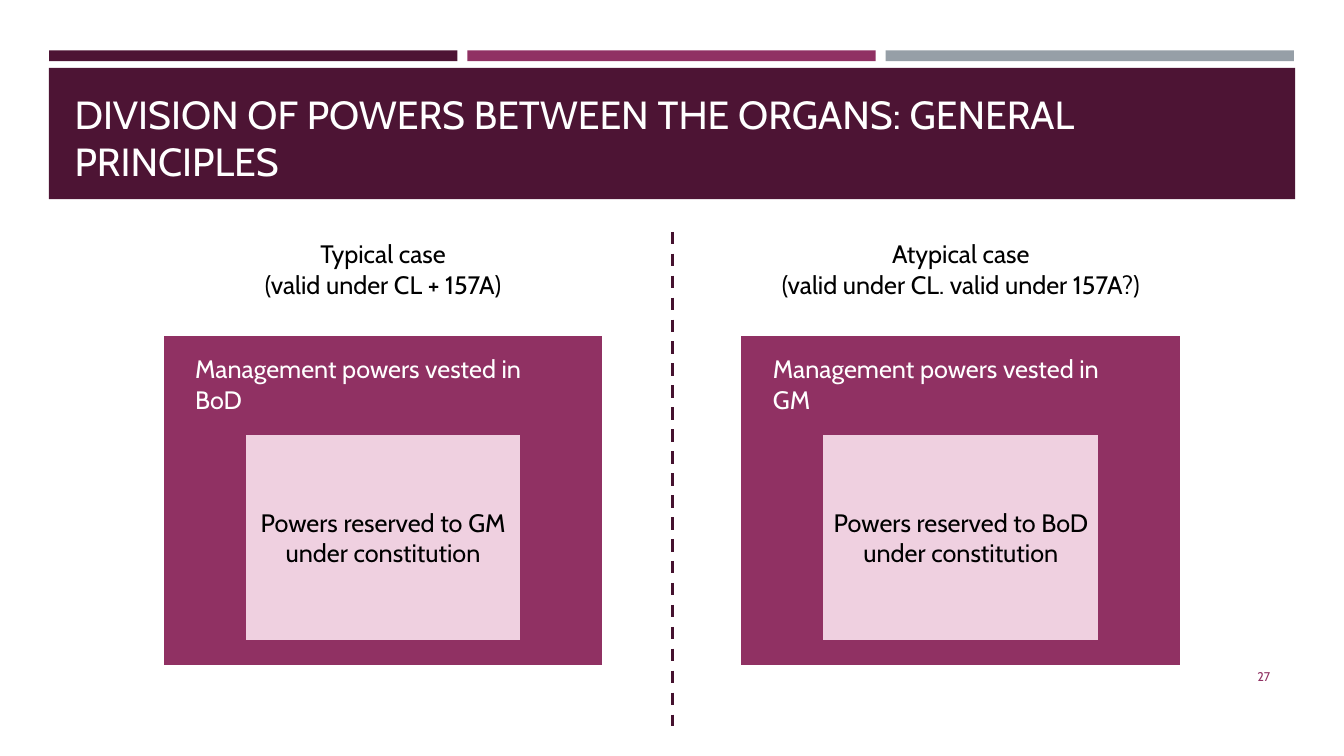
from dataclasses import dataclass

from lxml import etree
from pptx import Presentation
from pptx.dml.color import RGBColor
from pptx.enum.dml import MSO_LINE
from pptx.enum.shapes import MSO_CONNECTOR, MSO_SHAPE
from pptx.enum.text import MSO_ANCHOR, PP_ALIGN
from pptx.oxml.ns import qn
from pptx.shapes.base import BaseShape
from pptx.slide import Slide
from pptx.util import Cm, Pt

RECTANGLE = MSO_SHAPE.RECTANGLE
STRAIGHT = MSO_CONNECTOR.STRAIGHT
DASH = MSO_LINE.DASH
TOP, MIDDLE, BOTTOM = MSO_ANCHOR.TOP, MSO_ANCHOR.MIDDLE, MSO_ANCHOR.BOTTOM
LEFT, CENTER, RIGHT = PP_ALIGN.LEFT, PP_ALIGN.CENTER, PP_ALIGN.RIGHT

FONT = "Cabin"
PLUM, MAGENTA, GREY, PINK = "4D1434", "903163", "969FA7", "EFD0E0"
DIVIDER, WHITE, BLACK = "45122F", "FFFFFF", "000000"

STRIPE_LEFT, STRIPE_PITCH = 1.24, 10.54
PANEL_WIDTH, PANEL_HEIGHT, PANEL_TOP = 11.13, 8.36, 8.43
RESERVED_WIDTH, RESERVED_HEIGHT, RESERVED_TOP = 6.99, 5.23, 10.92
DIVIDER_X = 16.94


@dataclass(frozen=True)
class Box:
    left: float
    top: float
    width: float
    height: float


@dataclass(frozen=True)
class TextStyle:
    size: float
    color: str
    alignment: PP_ALIGN = LEFT
    anchor: MSO_ANCHOR = TOP


@dataclass(frozen=True)
class Case:
    left: float
    heading: list[str]
    heading_width: float
    vested: str
    reserved: str


CASES = [
    Case(4.09, ["Typical case", "(valid under CL + 157A)"], 6.86,
         "Management powers vested in BoD",
         "Powers reserved to GM under constitution"),
    Case(18.65, ["Atypical case", "(valid under CL. valid under 157A?)"], 9.65,
         "Management powers vested in GM",
         "Powers reserved to BoD under constitution"),
]


def rgb(color: str) -> RGBColor:
    return RGBColor.from_string(color)


def write_text(shape: BaseShape, lines: list[str], style: TextStyle) -> None:
    frame = shape.text_frame
    frame.word_wrap = True
    frame.vertical_anchor = style.anchor
    for index, line in enumerate(lines):
        paragraph = frame.add_paragraph() if index else frame.paragraphs[0]
        paragraph.alignment = style.alignment
        run = paragraph.add_run()
        run.text = line
        run.font.name = FONT
        run.font.size = Pt(style.size)
        run.font.color.rgb = rgb(style.color)


def add_text(slide: Slide, box: Box, lines: list[str], style: TextStyle) -> None:
    shape = slide.shapes.add_textbox(
        Cm(box.left), Cm(box.top), Cm(box.width), Cm(box.height))
    write_text(shape, lines, style)


def add_rectangle(slide: Slide, box: Box, fill: str,
                  line: str | None = None, line_width: float = 0) -> BaseShape:
    shape = slide.shapes.add_shape(
        RECTANGLE, Cm(box.left), Cm(box.top), Cm(box.width), Cm(box.height))
    shape.shadow.inherit = False
    shape.fill.solid()
    shape.fill.fore_color.rgb = rgb(fill)
    if line:
        shape.line.color.rgb = rgb(line)
        shape.line.width = Pt(line_width)
    else:
        shape.line.fill.background()
    return shape


def add_banner(slide: Slide) -> None:
    for index, color in enumerate([PLUM, MAGENTA, GREY]):
        left = STRIPE_LEFT + index * STRIPE_PITCH
        add_rectangle(slide, Box(left, 1.27, 10.29, 0.27), color)
    add_rectangle(slide, Box(1.23, 1.71, 31.41, 3.31), PLUM)
    add_text(slide, Box(1.63, 1.96, 30.63, 2.82),
             ["DIVISION OF POWERS BETWEEN THE ORGANS: GENERAL PRINCIPLES"],
             TextStyle(28, WHITE, anchor=BOTTOM))


def add_case(slide: Slide, case: Case) -> None:
    center = case.left + PANEL_WIDTH / 2
    add_rectangle(slide, Box(case.left, PANEL_TOP, PANEL_WIDTH, PANEL_HEIGHT),
                  MAGENTA, WHITE, 2)
    reserved = add_rectangle(
        slide,
        Box(center - RESERVED_WIDTH / 2, RESERVED_TOP,
            RESERVED_WIDTH, RESERVED_HEIGHT),
        PINK, MAGENTA, 1.75)
    write_text(reserved, [case.reserved], TextStyle(18, BLACK, CENTER, MIDDLE))
    add_text(slide, Box(case.left + 0.58, 8.79, 9.6, 1.02), [case.vested],
             TextStyle(18, WHITE))
    add_text(slide,
             Box(center - case.heading_width / 2, 5.89, case.heading_width, 1.8),
             case.heading, TextStyle(18, BLACK, CENTER))


def add_divider(slide: Slide) -> None:
    connector = slide.shapes.add_connector(
        STRAIGHT, Cm(DIVIDER_X), Cm(5.84), Cm(DIVIDER_X), Cm(18.29))
    connector.line.color.rgb = rgb(DIVIDER)
    connector.line.width = Pt(2.25)
    connector.line.dash_style = DASH
    etree.SubElement(connector._element.spPr, qn("a:effectLst"))


def main() -> None:
    presentation = Presentation()
    presentation.slide_width = Cm(33.87)
    presentation.slide_height = Cm(19.05)
    slide = presentation.slides.add_slide(presentation.slide_layouts[6])
    add_banner(slide)
    add_text(slide, Box(29.34, 16.54, 2.92, 1.02), ["27"],
             TextStyle(9, MAGENTA, RIGHT, MIDDLE))
    for case in CASES:
        add_case(slide, case)
    add_divider(slide)
    presentation.save("out.pptx")


if __name__ == "__main__":
    main()
